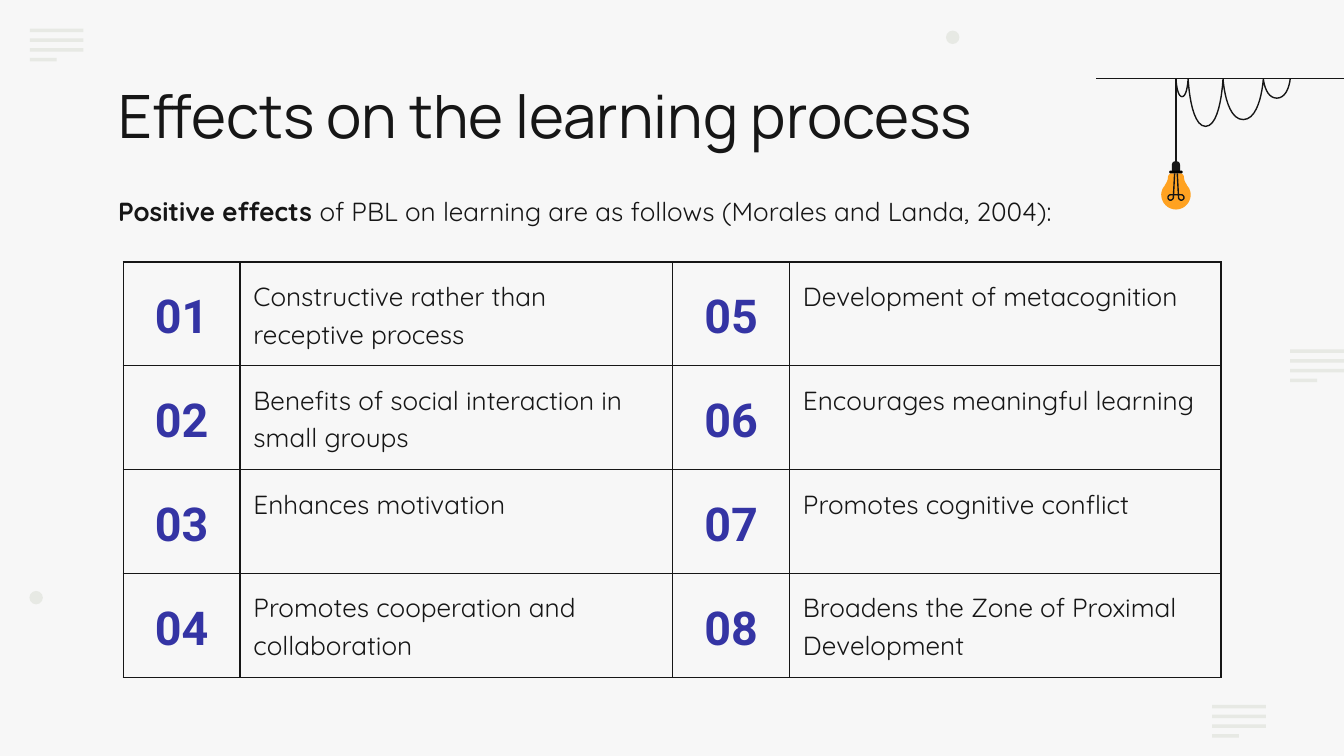
from lxml import etree
from pptx import Presentation
from pptx import util as u
from pptx.dml.color import RGBColor
from pptx.enum import shapes as sh, text as t
from pptx.oxml import ns

Pt = u.Pt
COLORS = {name: RGBColor.from_string(value) for name, value in {
    "paper": "F7F7F7", "ink": "161616", "decor": "E7E9E4",
    "number": "3434A4", "glass": "FFA221", "collar": "000000"}.items()}

prs = Presentation()
prs.slide_width, prs.slide_height = Pt(720), Pt(405)
slide = prs.slides.add_slide(prs.slide_layouts[6])
slide.background.fill.solid()
slide.background.fill.fore_color.rgb = COLORS["paper"]


def paint(shape, fill=None, line=None):
    shape.shadow.inherit = False
    if fill:
        shape.fill.solid()
        shape.fill.fore_color.rgb = COLORS[fill]
    else:
        shape.fill.background()
    if line:
        shape.line.color.rgb = COLORS[line]
        shape.line.width = Pt(0.75)
    else:
        shape.line.fill.background()


def trace(start, steps):
    """Points along line steps (x, y) and cubic steps (x1, y1, x2, y2, x, y)."""
    points = [start]
    for step in steps:
        if len(step) == 2:
            points.append(step)
            continue
        controls = [points[-1], step[:2], step[2:4], step[4:]]
        for i in range(1, 13):
            k = i / 12
            weights = ((1 - k) ** 3, 3 * k * (1 - k) ** 2, 3 * k * k * (1 - k), k ** 3)
            points.append(tuple(sum(w * c[axis] for w, c in zip(weights, controls))
                                for axis in (0, 1)))
    return points


# Background decoration: dots and stacks of bars
decor = [(sh.MSO_SHAPE.OVAL, x, y, 7.2, 7.2) for x, y in ((15.8, 316.6), (506.8, 16.4))]
for x, y in ((691.2, 187.2), (649.4, 377.7), (16, 15.4)):
    for row, width in enumerate((28.8, 28.8, 28.8, 14.4)):
        decor.append((sh.MSO_SHAPE.RECTANGLE, x, y + 5.2 * row, width, 1.9))
for kind, *box in decor:
    paint(slide.shapes.add_shape(kind, *map(Pt, box)), fill="decor")

# Title and introduction
headings = [
    ((56.6, 35.3, 607, 45.4), "Manrope", 32, 1,
     [("Effects on the learning process", False)]),
    ((56.2, 95, 607, 31.7), "Quicksand", 14, 1.15,
     [("Positive effects ", True),
      ("of PBL on learning are as follows (Morales and Landa, 2004):", False)]),
]
for box, font, size, spacing, parts in headings:
    frame = slide.shapes.add_textbox(*map(Pt, box)).text_frame
    frame.word_wrap = True
    frame.margin_left = frame.margin_right = Pt(7.2)
    frame.margin_top = frame.margin_bottom = Pt(7.2)
    paragraph = frame.paragraphs[0]
    paragraph.line_spacing = spacing
    for words, bold in parts:
        run = paragraph.add_run()
        run.text = words
        run.font.name, run.font.size, run.font.bold = font, Pt(size), bold
        run.font.color.rgb = COLORS["ink"]

# Table of effects, numbered down the left half and then the right half
effects = [
    "Constructive rather than receptive process",
    "Benefits of social interaction in small groups",
    "Enhances motivation",
    "Promotes cooperation and collaboration",
    "Development of metacognition",
    "Encourages meaningful learning",
    "Promotes cognitive conflict",
    "Broadens the Zone of Proximal Development",
]
table = slide.shapes.add_table(4, 4, Pt(66), Pt(140.4), Pt(588.2), Pt(222.4)).table
table.first_row = table.horz_banding = False
for column, width in zip(table.columns, (62.6, 231.8, 62.6, 231.2)):
    column.width = Pt(width)
for row in table.rows:
    row.height = Pt(55.6)
for index, effect in enumerate(effects):
    half, row = divmod(index, 4)
    for offset, words in enumerate((f"{index + 1:02}", effect)):
        is_number = offset == 0
        cell = table.cell(row, 2 * half + offset)
        cell.margin_left = cell.margin_right = Pt(7.2)
        cell.margin_top = cell.margin_bottom = Pt(7.2)
        cell.vertical_anchor = t.MSO_ANCHOR.MIDDLE if is_number else t.MSO_ANCHOR.TOP
        cell.text_frame.text = words
        paragraph = cell.text_frame.paragraphs[0]
        paragraph.alignment = t.PP_ALIGN.CENTER if is_number else t.PP_ALIGN.LEFT
        paragraph.line_spacing = 1.15
        font = paragraph.runs[0].font
        font.name = "Roboto" if is_number else "Quicksand"
        font.size = Pt(25 if is_number else 14)
        font.bold = is_number
        font.color.rgb = COLORS["number" if is_number else "ink"]
        cell.fill.background()
        properties = cell._tc.get_or_add_tcPr()
        for place, side in enumerate(("lnL", "lnR", "lnT", "lnB")):
            border = etree.Element(ns.qn(f"a:{side}"), w=str(Pt(0.75)))
            solid = etree.SubElement(border, ns.qn("a:solidFill"))
            etree.SubElement(solid, ns.qn("a:srgbClr"), val=str(COLORS["ink"]))
            properties.insert(place, border)

# Hanging bulb: ceiling line and wire
CENTER, CEILING, NECK = 630, 42.2, 92.9
for ends in ((587.2, CEILING, 720, CEILING), (CENTER, CEILING, CENTER, 88.6)):
    wire = slide.shapes.add_connector(sh.MSO_CONNECTOR.STRAIGHT, *map(Pt, ends))
    wire.line.color.rgb = COLORS["ink"]
    wire.line.width = Pt(0.75)
    etree.SubElement(wire._element.spPr, ns.qn("a:effectLst"))

# Right halves of the bulb parts, measured from the neck and mirrored below
cap = trace((0, -6.5), [(1.4, -6.5, 2.2, -5.8, 2.2, -4.3), (2.2, -0.7), (0, -0.7)])
glass = trace((2.9, 0), [(2.9, 0, 4.3, 0.7, 4.3, 2.2), (4.3, 4.3, 5.8, 5.8, 6.1, 6.8),
                         (7.2, 7.9, 7.9, 9.7, 7.9, 11.5),
                         (7.9, 15.8, 4.3, 19.4, 0, 19.4)])
filament = trace((0.7, 0), [(1.4, 13), (1.4, 13.7, 2.2, 14.4, 2.9, 14.4),
                            (3.6, 14.4, 4.3, 13.7, 4.3, 13),
                            (4.3, 12.2, 3.6, 11.5, 2.9, 11.5), (0, 11.5)])
outlines = []
for half, fill, line in ((cap, "ink", None), (glass, "glass", None),
                         (filament, None, "ink")):
    whole = half + [(-x, y) for x, y in reversed(half)]
    outlines.append(([(CENTER + x, NECK + y) for x, y in whole], fill, line))

# Slack cable looped between hooks on the ceiling line
hooks = (691.2, 676.8, 655.2, 636.5, CENTER)
loops = []
for right, left, bottom in zip(hooks, hooks[1:], (52.6, 64.1, 67.7, 51.8)):
    middle, inset = (right + left) / 2, 0.06 * (right - left)
    loops += [(right, CEILING, right - inset, bottom, middle, bottom),
              (left + inset, bottom, left, CEILING, left, CEILING)]
outlines.append((trace((hooks[0], CEILING), loops), None, "ink"))

for points, fill, line in outlines:
    corners = [(Pt(x), Pt(y)) for x, y in points]
    builder = slide.shapes.build_freeform(*corners[0])
    builder.add_line_segments(corners[1:], close=fill is not None)
    paint(builder.convert_to_shape(), fill, line)

collar = slide.shapes.add_shape(sh.MSO_SHAPE.ROUNDED_RECTANGLE,
                                Pt(CENTER - 3.6), Pt(NECK - 1.5), Pt(7.2), Pt(1.6))
collar.adjustments[0] = 0.5
paint(collar, fill="collar")

prs.save("out.pptx")
